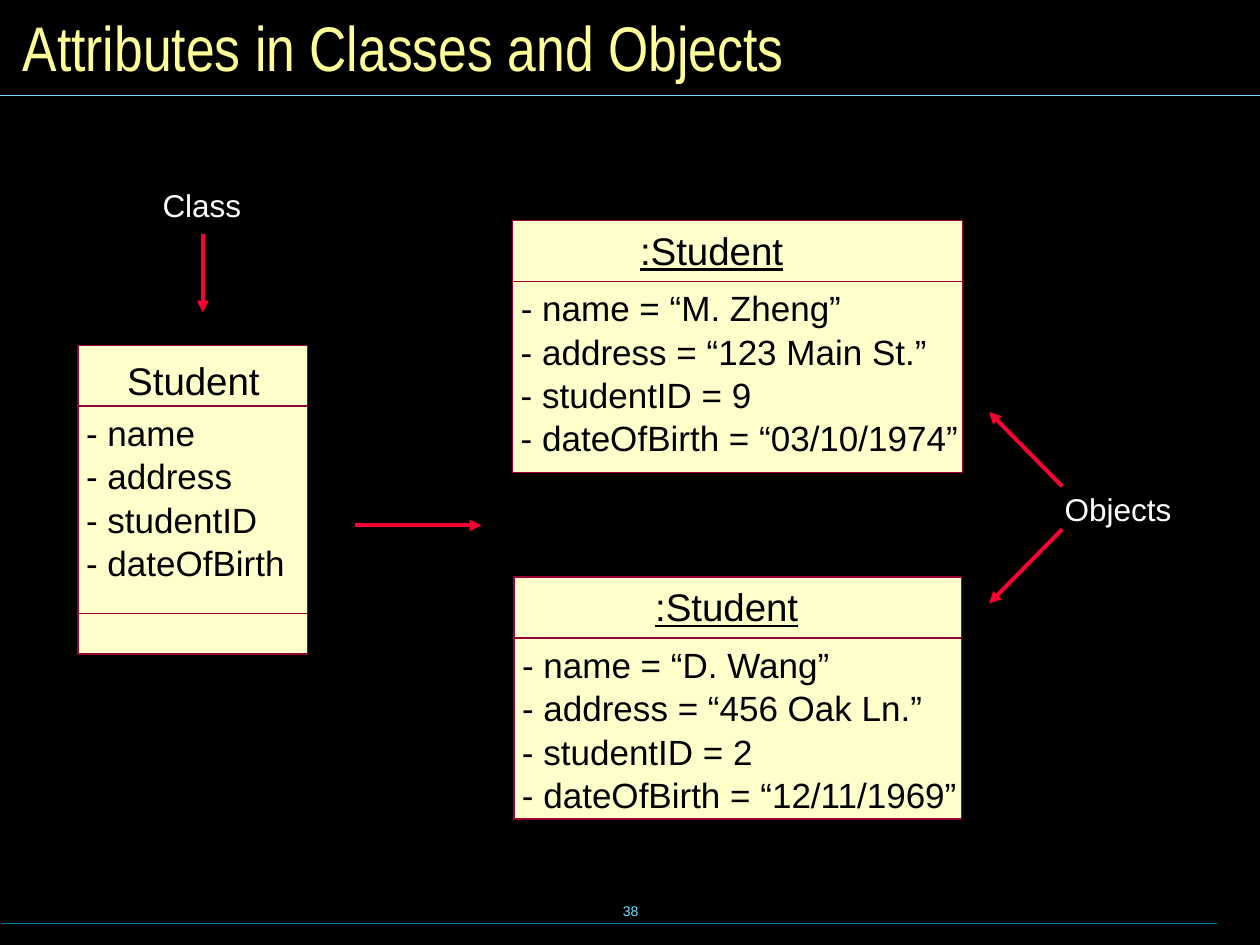
import pptx
import pptx.dml.color
import pptx.enum.shapes
import pptx.enum.text
import pptx.oxml
import pptx.oxml.ns
import pptx.util

BLACK = pptx.dml.color.RGBColor(0x00, 0x00, 0x00)
WHITE = pptx.dml.color.RGBColor(0xFF, 0xFF, 0xFF)
YELLOW = pptx.dml.color.RGBColor(0xFF, 0xFF, 0x99)
CREAM = pptx.dml.color.RGBColor(0xFF, 0xFF, 0xCC)
MAROON = pptx.dml.color.RGBColor(0x99, 0x00, 0x33)
RED = pptx.dml.color.RGBColor(0xFF, 0x00, 0x33)
SKY = pptx.dml.color.RGBColor(0x73, 0xE1, 0xFF)
TEAL = pptx.dml.color.RGBColor(0x00, 0x7E, 0x9F)

COLUMNS, ROWS = 100, 75
ROW_PITCH = 3.43
LEFT = pptx.enum.text.PP_ALIGN.LEFT
CENTER = pptx.enum.text.PP_ALIGN.CENTER
TOP = pptx.enum.text.MSO_ANCHOR.TOP
MIDDLE = pptx.enum.text.MSO_ANCHOR.MIDDLE


def write(box, text, size, color, font="Arial", underline=None, align=LEFT,
          anchor=TOP, insets=(0, 0), wrap=False):
    frame = box.text_frame
    frame.word_wrap = wrap
    frame.auto_size = pptx.enum.text.MSO_AUTO_SIZE.NONE
    frame.vertical_anchor = anchor
    frame.margin_left = frame.margin_right = pptx.util.Inches(insets[0])
    frame.margin_top = frame.margin_bottom = pptx.util.Inches(insets[1])
    para = frame.paragraphs[0]
    para.alignment = align
    span = para.add_run()
    span.text = text
    span.font.name = font
    span.font.size = pptx.util.Pt(size)
    span.font.color.rgb = color
    span.font.underline = underline


class SlideBuilder:
    def __init__(self, deck):
        self.column = deck.slide_width / COLUMNS
        self.row = deck.slide_height / ROWS
        self.page = deck.slides.add_slide(deck.slide_layouts[5])
        background = self.page.background.fill
        background.solid()
        background.fore_color.rgb = BLACK

    def place(self, left, top, width, height):
        return (round(left * self.column), round(top * self.row),
                round(width * self.column), round(height * self.row))

    def title(self, text, *area):
        box = self.page.shapes.title
        box.left, box.top, box.width, box.height = self.place(*area)
        write(box, text, 36, YELLOW, font="Arial Narrow", anchor=MIDDLE,
              insets=(0.1, 0.05), wrap=True)

    def text(self, text, *area, parent=None, **style):
        shapes = (parent or self.page).shapes
        write(shapes.add_textbox(*self.place(*area)), text, **style)

    def line(self, start, end, color, width=0.75, arrow=False):
        connector = self.page.shapes.add_connector(
            pptx.enum.shapes.MSO_CONNECTOR.STRAIGHT,
            *self.place(*start, *end))
        connector.line.color.rgb = color
        connector.line.width = pptx.util.Pt(width)
        properties = connector._element.spPr
        namespace = pptx.oxml.ns.nsdecls("a")
        if arrow:
            outline = properties.find(pptx.oxml.ns.qn("a:ln"))
            outline.append(pptx.oxml.parse_xml(
                f'<a:tailEnd {namespace} type="triangle"/>'))
        properties.append(pptx.oxml.parse_xml(f"<a:effectLst {namespace}/>"))

    def arrow(self, start, end):
        self.line(start, end, RED, width=2.25, arrow=True)

    def rectangle(self, parent, *area, fill=None):
        shape = parent.shapes.add_shape(
            pptx.enum.shapes.MSO_SHAPE.RECTANGLE, *self.place(*area))
        shape.shadow.inherit = False
        if fill is None:
            shape.fill.background()
        else:
            shape.fill.solid()
            shape.fill.fore_color.rgb = fill
        shape.line.color.rgb = MAROON
        shape.line.width = pptx.util.Pt(0)

    def card(self, left, top, width, height, heading, heading_area, attributes,
             underline=None, footer=0):
        group = self.page.shapes.add_group_shape()
        head = 4.83
        self.rectangle(group, left, top, width, height, fill=CREAM)
        self.text(heading, *heading_area, 3.7, parent=group, size=22,
                  color=BLACK, underline=underline)
        self.rectangle(group, left, top + head, width, height - head)
        if footer:
            self.rectangle(group, left, top + height - footer, width, footer)
        for index, (attribute, length) in enumerate(attributes):
            self.text(attribute, left + 0.63, top + head + 0.45 + index * ROW_PITCH,
                      length, 3.3, parent=group, size=20, color=BLACK)


def main():
    deck = pptx.Presentation()
    deck.slide_width = pptx.util.Inches(10)
    deck.slide_height = pptx.util.Inches(7.5)
    slide = SlideBuilder(deck)

    slide.text("38", 34.2, 69.8, 31.7, 5, size=8, color=SKY, align=CENTER,
               anchor=MIDDLE, insets=(0.1, 0.05))
    slide.line((0, 7.6), (100, 7.6), SKY)
    slide.line((0.2, 73.3), (96.6, 73.3), TEAL)
    slide.title("Attributes in Classes and Objects", 0.8, 0.8, 98.4, 5.8)

    labels = {"size": 18, "color": WHITE, "insets": (0.12, 0.06)}
    slide.text("Class", 11.7, 14.2, 8.6, 4.2, **labels)
    slide.text("Objects", 83.3, 38.3, 10.8, 4.2, **labels)

    slide.card(6.2, 27.4, 18.2, 24.5, "Student", (10.1, 28.3, 10.5),
               [("- name", 8.7), ("- address", 11.6),
                ("- studentID", 13.6), ("- dateOfBirth", 15.8)], footer=3.2)
    slide.card(40.7, 17.5, 35.7, 20, ":Student", (50.8, 18, 11.4),
               [("- name = “M. Zheng”", 25.5),
                ("- address = “123 Main St.”", 32.3),
                ("- studentID = 9", 18.3),
                ("- dateOfBirth = “03/10/1974”", 34.7)], underline=True)
    slide.card(40.8, 45.8, 35.5, 19.2, ":Student", (52, 46.3, 11.4),
               [("- name = “D. Wang”", 24.5),
                ("- address = “456 Oak Ln.”", 31.8),
                ("- studentID = 2", 18.3),
                ("- dateOfBirth = “12/11/1969”", 34.7)], underline=True)

    slide.arrow((28.2, 41.7), (38.2, 41.7))
    slide.arrow((16.1, 18.6), (16.1, 24.8))
    slide.arrow((84.3, 42), (78.5, 47.9))
    slide.arrow((84.3, 38.6), (78.5, 32.7))
    deck.save("out.pptx")


if __name__ == "__main__":
    main()
